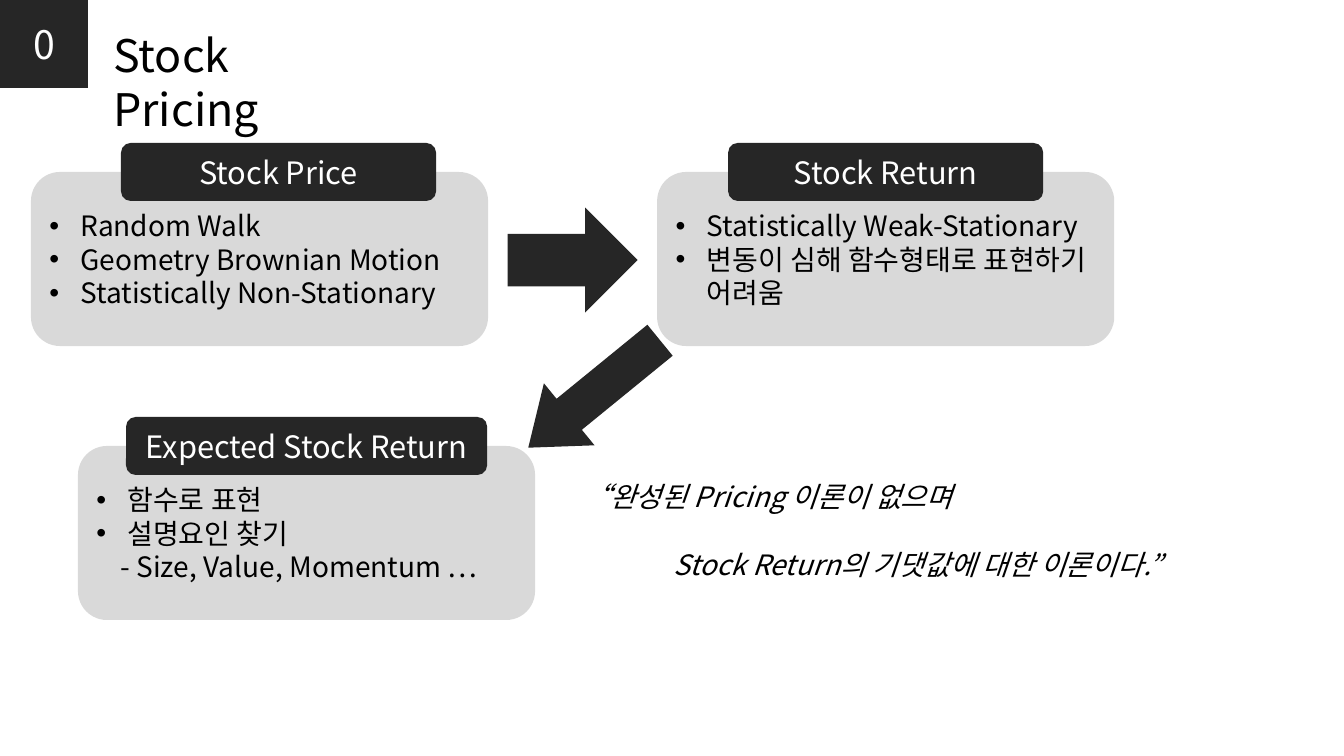
from lxml import etree
from pptx import Presentation
from pptx.dml.color import RGBColor
from pptx.enum.shapes import MSO_SHAPE
from pptx.enum.text import MSO_ANCHOR, MSO_AUTO_SIZE, PP_ALIGN
from pptx.oxml.ns import qn
from pptx.util import Emu, Inches, Pt

RECTANGLE = MSO_SHAPE.RECTANGLE
ROUNDED = MSO_SHAPE.ROUNDED_RECTANGLE
DOWN_ARROW = MSO_SHAPE.DOWN_ARROW
TOP, MIDDLE = MSO_ANCHOR.TOP, MSO_ANCHOR.MIDDLE
LEFT, CENTER, RIGHT = PP_ALIGN.LEFT, PP_ALIGN.CENTER, PP_ALIGN.RIGHT
NO_AUTOFIT = MSO_AUTO_SIZE.NONE

DARK = RGBColor(0x26, 0x26, 0x26)
LIGHT = RGBColor(0xD9, 0xD9, 0xD9)
BLACK = RGBColor(0x00, 0x00, 0x00)
WHITE = RGBColor(0xFF, 0xFF, 0xFF)

FONT = "Noto Sans CJK KR"
EMU_PER_PX = 914400 / 100.8
TITLE_ONLY_LAYOUT = 5
CARD_WIDTH, CARD_HEIGHT = 457, 174
TAB_HEIGHT = 58
BULLET_INDENT, SUBITEM_INDENT = 31, 24


def px(length):
    return Emu(round(length * EMU_PER_PX))


class SlideBuilder:
    def __init__(self, slide, font):
        self.slide = slide
        self.font = font

    def style(self, para, size, color, align=LEFT, italic=False):
        para.alignment = align
        para.line_spacing = 1.0
        for span in para.runs:
            span.font.name = self.font
            span.font.size = Pt(size)
            span.font.color.rgb = color
            span.font.italic = italic
            east_asian = etree.SubElement(span._r.get_or_add_rPr(), qn("a:ea"))
            east_asian.set("typeface", self.font)

    def indent(self, para, margin, bullet=False):
        properties = para._p.get_or_add_pPr()
        properties.set("marL", str(px(margin)))
        if bullet:
            properties.set("indent", str(-px(margin)))
            bullet_font = etree.SubElement(properties, qn("a:buFont"))
            bullet_font.set("typeface", "Arial")
            etree.SubElement(properties, qn("a:buChar")).set("char", "•")

    def title(self, text, left, top, width, height):
        box = self.slide.shapes.title
        box.left, box.top, box.width, box.height = map(px, (left, top, width, height))
        frame = box.text_frame
        frame.text = text
        frame.word_wrap = True
        frame.auto_size = NO_AUTOFIT
        frame.vertical_anchor = TOP
        self.style(frame.paragraphs[0], 32, BLACK)

    def shape(self, kind, left, top, width, height, color):
        shape = self.slide.shapes.add_shape(kind, *map(px, (left, top, width, height)))
        shape.shadow.inherit = False
        shape.fill.solid()
        shape.fill.fore_color.rgb = color
        shape.line.fill.background()
        return shape

    def label(self, kind, text, left, top, width, height, size):
        frame = self.shape(kind, left, top, width, height, DARK).text_frame
        frame.text = text
        frame.vertical_anchor = MIDDLE
        self.style(frame.paragraphs[0], size, WHITE, CENTER)

    def arrow(self, left, top, width, height, rotation, head=0.5):
        arrow = self.shape(DOWN_ARROW, left, top, width, height, DARK)
        arrow.rotation = rotation
        arrow.adjustments[1] = head

    def card(self, heading, items, left, top, tab_left, tab_width):
        """Draw a list card with its heading tab straddling the top edge."""
        card = self.shape(ROUNDED, left, top, CARD_WIDTH, CARD_HEIGHT, LIGHT)
        frame = card.text_frame
        frame.vertical_anchor = MIDDLE
        frame.text = "\n".join(items)
        for para in frame.paragraphs:
            if para.text.startswith("-"):
                self.indent(para, SUBITEM_INDENT)
            else:
                self.indent(para, BULLET_INDENT, bullet=True)
            self.style(para, 20, BLACK)
        self.label(ROUNDED, heading, tab_left, top - TAB_HEIGHT // 2,
                   tab_width, TAB_HEIGHT, 22)

    def quote(self, opening, closing, left, top, width, height):
        box = self.slide.shapes.add_textbox(*map(px, (left, top, width, height)))
        frame = box.text_frame
        frame.word_wrap = True
        frame.text = f"{opening}\n{closing}"
        first, last = frame.paragraphs
        self.style(first, 20, BLACK, italic=True)
        self.style(last, 20, BLACK, RIGHT, italic=True)
        last.space_before = Pt(24)


def main():
    deck = Presentation()
    deck.slide_width, deck.slide_height = Inches(13.33), Inches(7.5)
    page = SlideBuilder(
        deck.slides.add_slide(deck.slide_layouts[TITLE_ONLY_LAYOUT]), FONT)

    page.label(RECTANGLE, "0", 0, 0, 88, 88, 28)
    page.title("Stock Pricing", 103, 23, 280, 65)

    page.card("Stock Price",
              ["Random Walk", "Geometry Brownian Motion", "Statistically Non-Stationary"],
              31, 172, 121, 315)
    page.card("Stock Return",
              ["Statistically Weak-Stationary", "변동이 심해 함수형태로 표현하기 어려움"],
              657, 172, 728, 315)
    page.card("Expected Stock Return",
              ["함수로 표현", "설명요인 찾기", "- Size, Value, Momentum …"],
              78, 446, 126, 361)

    page.arrow(520, 195, 105, 130, 270)
    page.arrow(554, 309, 80, 170, 50.8, head=0.66)

    page.quote("“완성된 Pricing 이론이 없으며", "Stock Return의 기댓값에 대한 이론이다.”",
               572, 475, 599, 112)
    deck.save("out.pptx")


if __name__ == "__main__":
    main()
